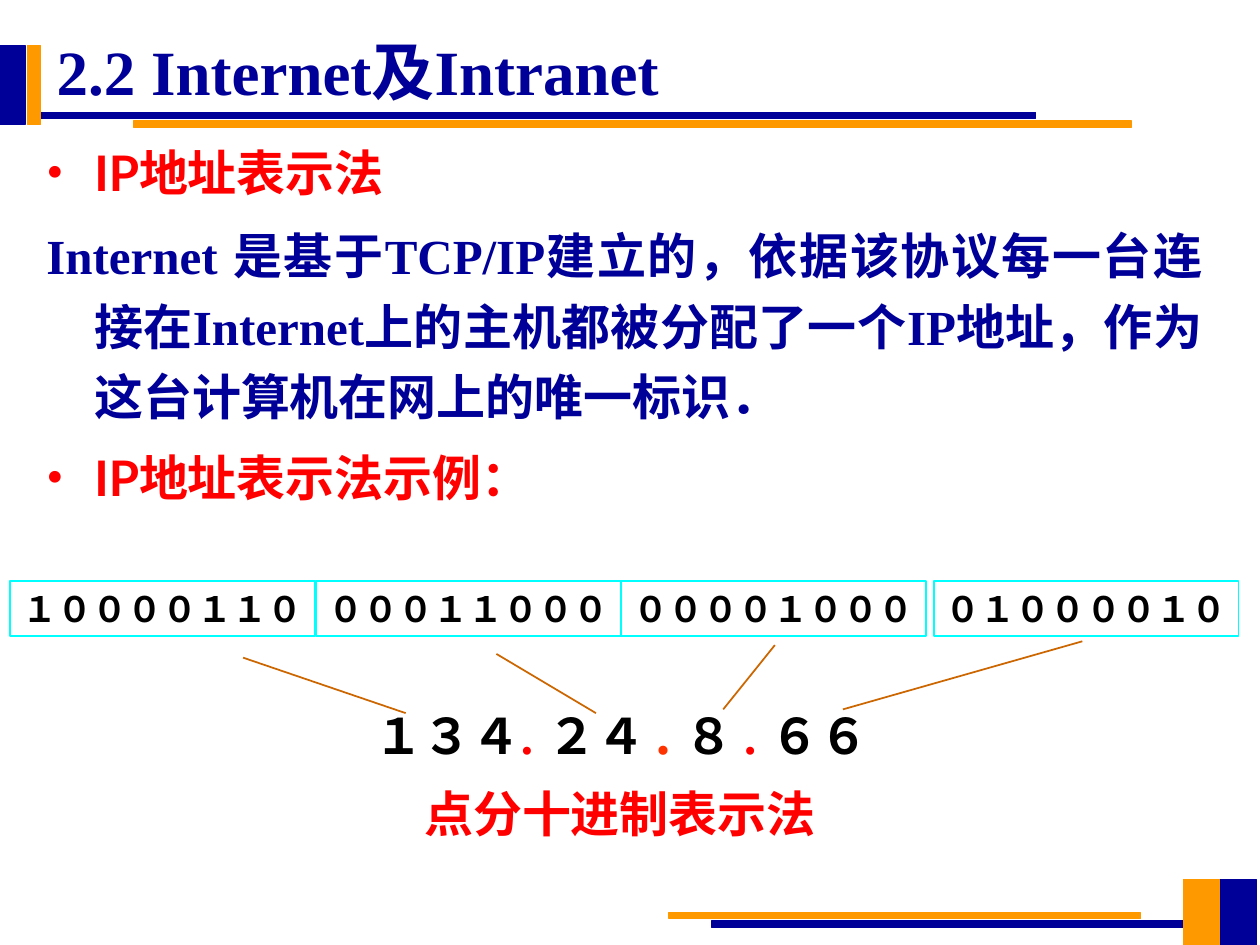
from lxml import etree
from pptx import Presentation
from pptx import util as u
from pptx.dml.color import RGBColor
from pptx.enum import shapes, text
from pptx.oxml import ns

HUES = {"navy": "000099", "gold": "FF9900", "red": "FF0000", "dot": "FF3300",
        "black": "000000", "cyan": "00FFFF", "rust": "CC6600"}
ROMAN = "Times New Roman"
BARS = [
    (9.68, 6.98, 0.29, 0.52, "navy"), (5.31, 7.24, 3.74, 0.05, "gold"),
    (5.65, 7.31, 3.74, 0.05, "navy"), (9.39, 6.98, 0.29, 0.52, "gold"),
    (0.3, 0.89, 7.92, 0.05, "navy"), (1.06, 0.96, 7.92, 0.05, "gold"),
    (0, 0.36, 0.2, 0.63, "navy"), (0.22, 0.36, 0.1, 0.63, "gold"),
]
BYTES = [(0.08, "１００００１１０"), (2.51, "０００１１０００"),
         (4.93, "００００１０００"), (7.41, "０１００００１０")]
LINKS = [(1.93, 5.22, 3.22, 5.66), (6.69, 5.63, 8.59, 5.09),
         (3.94, 5.19, 4.73, 5.66), (6.15, 5.12, 5.74, 5.63)]
DOTTED = [("１３４", 28, "black"), (".", 28, "red"), (" ", 32, "red"),
          ("２４ ", 28, "black"), (". ", 32, "dot"), ("８ ", 28, "black"),
          (".", 28, "red"), (" ", 32, "red"), ("６６", 28, "black")]
POINTS = [
    ("IP地址表示法", "Lato", "red", 0, True),
    ("Internet 是基于TCP/IP建立的，依据该协议每一台连接在Internet上的主机都被分配了"
     "一个IP地址，作为这台计算机在网上的唯一标识．", ROMAN, "navy", 7, False),
    ("IP地址表示法示例：", "Lato", "red", 6, True),
]


def hue(name):
    """Return a named colour."""
    return RGBColor.from_string(HUES[name])


def apply(item, form):
    """Set attributes from a dict of format values."""
    for key, value in form.items():
        setattr(item, key, value)


def add_run(para, words, size, tint, face=ROMAN):
    """Add one bold run."""
    run = para.add_run()
    run.text = words
    apply(run.font, {"size": u.Pt(size), "name": face, "bold": True})
    run.font.color.rgb = hue(tint)


def add_rect(slide, box, edge, width, fill=None):
    """Add a rectangle without shadow."""
    rect = slide.shapes.add_shape(shapes.MSO_SHAPE.RECTANGLE, *map(u.Inches, box))
    rect.shadow.inherit = False
    if fill:
        rect.fill.solid()
        rect.fill.fore_color.rgb = hue(fill)
    else:
        rect.fill.background()
    rect.line.color.rgb = hue(edge)
    rect.line.width = u.Pt(width)
    return rect


def add_link(slide, ends):
    """Add a thin straight line."""
    link = slide.shapes.add_connector(
        shapes.MSO_CONNECTOR.STRAIGHT, *map(u.Inches, ends))
    link.line.color.rgb = hue("rust")
    link.line.width = u.Pt(1)
    etree.SubElement(link._element.spPr, ns.qn("a:effectLst"))


def add_box(slide, box):
    """Add an empty text box."""
    return slide.shapes.add_textbox(*map(u.Inches, box))


def write(shape, runs):
    """Write one centred line of runs in a shape."""
    frame = shape.text_frame
    apply(frame, {"word_wrap": False, "vertical_anchor": text.MSO_ANCHOR.MIDDLE,
                  "auto_size": text.MSO_AUTO_SIZE.NONE,
                  "margin_left": 0, "margin_right": 0,
                  "margin_top": 0, "margin_bottom": 0})
    para = frame.paragraphs[0]
    para.alignment = text.PP_ALIGN.CENTER
    for run in runs:
        add_run(para, *run)


def add_bullet(props):
    """Give a paragraph a red dot."""
    tint = etree.SubElement(props, ns.qn("a:buClr"))
    etree.SubElement(tint, ns.qn("a:srgbClr"), val=HUES["red"])
    etree.SubElement(props, ns.qn("a:buFont"), typeface=ROMAN)
    etree.SubElement(props, ns.qn("a:buChar"), char="•")


def add_body(slide):
    """Add the hanging paragraphs."""
    frame = add_box(slide, (0.27, 0.99, 9.37, 3.3)).text_frame
    frame.word_wrap = True
    for i, (words, face, tint, gap, dot) in enumerate(POINTS):
        para = frame.add_paragraph() if i else frame.paragraphs[0]
        align = text.PP_ALIGN.LEFT if dot else text.PP_ALIGN.JUSTIFY
        apply(para, {"line_spacing": 1.2, "space_before": u.Pt(gap),
                     "alignment": align})
        props = para._p.get_or_add_pPr()
        props.set("marL", str(u.Inches(0.38)))
        props.set("indent", str(u.Inches(-0.38)))
        if dot:
            add_bullet(props)
        add_run(para, words, 28, tint, face)


def set_title(slide):
    """Place and format the title."""
    title = slide.shapes.title
    apply(title, {"left": u.Inches(0.35), "top": u.Inches(0.21),
                  "width": u.Inches(6.04), "height": u.Inches(0.7)})
    apply(title.text_frame, {"vertical_anchor": text.MSO_ANCHOR.MIDDLE,
                             "auto_size": text.MSO_AUTO_SIZE.NONE})
    para = title.text_frame.paragraphs[0]
    para.alignment = text.PP_ALIGN.LEFT
    add_run(para, "2.2 Internet及Intranet", 36, "navy")


def main():
    """Build the slide."""
    deck = Presentation()
    apply(deck, {"slide_width": u.Inches(10), "slide_height": u.Inches(7.5)})
    slide = deck.slides.add_slide(deck.slide_layouts[5])
    for *box, tint in BARS:
        add_rect(slide, box, tint, 0.75, tint)
    set_title(slide)
    add_body(slide)
    for left, bits in BYTES:
        cell = add_rect(slide, (left, 4.61, 2.42, 0.44), "cyan", 1)
        write(cell, [(bits, 20, "black")])
    for ends in LINKS:
        add_link(slide, ends)
    write(add_box(slide, (3.27, 6.17, 3.3, 0.57)),
          [("点分十进制表示法", 28, "red")])
    write(add_box(slide, (2.57, 5.49, 4.72, 0.64)), DOTTED)
    deck.save("out.pptx")


if __name__ == "__main__":
    main()
